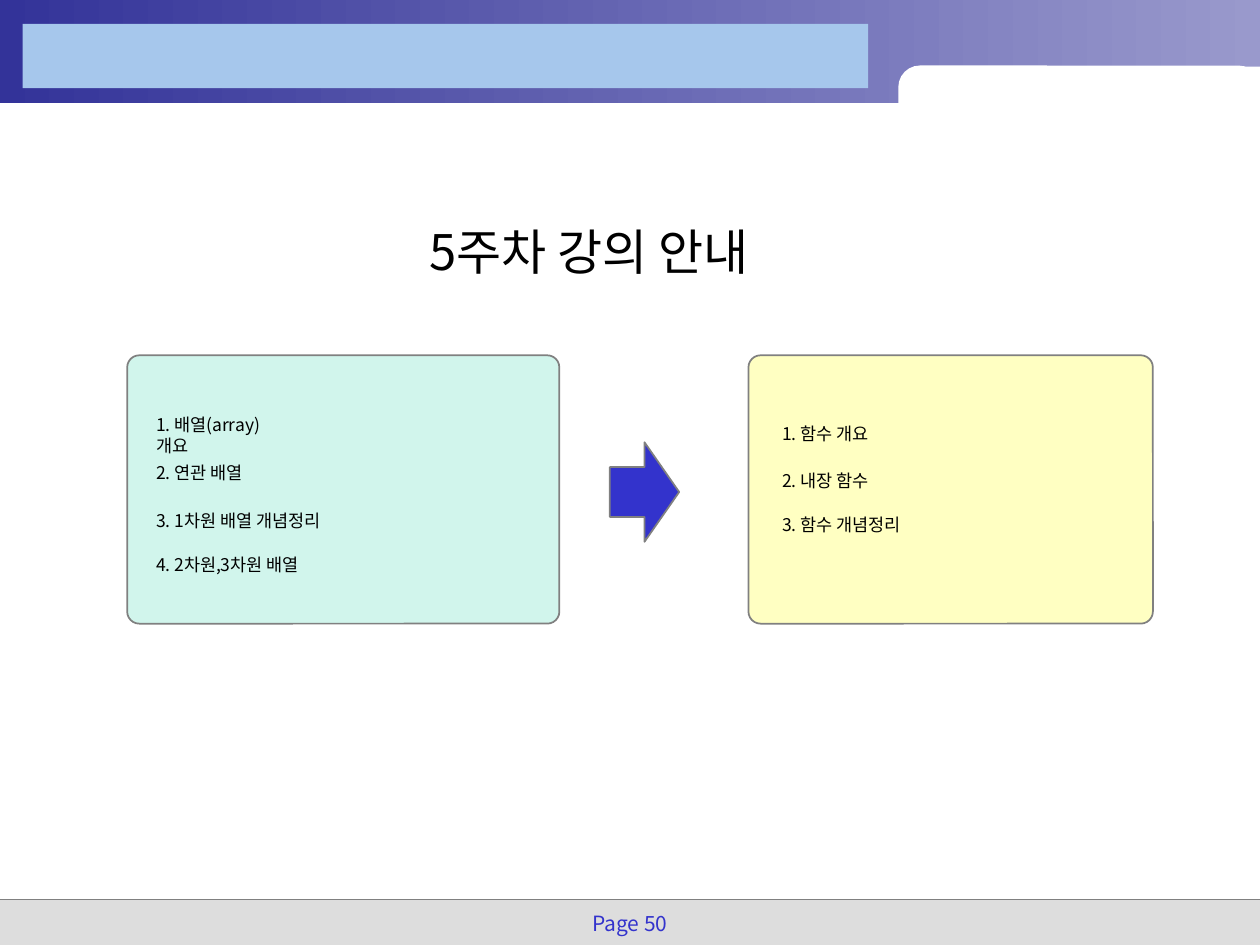
from lxml.etree import SubElement
from pptx import Presentation
from pptx.dml.color import RGBColor
from pptx.enum.shapes import MSO_CONNECTOR, MSO_SHAPE
from pptx.enum.text import MSO_ANCHOR, MSO_AUTO_SIZE, PP_ALIGN
from pptx.oxml.ns import qn
from pptx.util import Inches, Pt

FONT = "Noto Sans CJK KR"
BLACK = RGBColor(0x00, 0x00, 0x00)
WHITE = RGBColor(0xFF, 0xFF, 0xFF)
GRAY = RGBColor(0x80, 0x80, 0x80)
FOOTER_GRAY = RGBColor(0xDD, 0xDD, 0xDD)
NAVY = RGBColor(0x33, 0x33, 0x99)
LAVENDER = RGBColor(0x99, 0x99, 0xCC)
SKY = RGBColor(0xA6, 0xC7, 0xEC)
BLUE = RGBColor(0x33, 0x33, 0xCC)
YELLOW = RGBColor(0xFF, 0xFF, 0x00)
GREEN = RGBColor(0x00, 0xCC, 0x99)

WIDTH, HEIGHT = 10, 7.5
FOOTER_TOP = 7.14
CARD_TOP, CARD_HEIGHT = 2.82, 2.13
TITLE = "5주차 강의 안내"
PAGE = "Page 50"
CARDS = [
    {"left": 5.94, "width": 3.21, "color": YELLOW, "opacity": 24, "text_left": 6.11,
     "items": [("1. 함수 개요", 3.31, 1), ("2. 내장 함수", 3.68, 1),
               ("3. 함수 개념정리", 4.03, 1.25)]},
    {"left": 1.01, "width": 3.43, "color": GREEN, "opacity": 18, "text_left": 1.14,
     "items": [("1. 배열(array) 개요", 3.24, 1.3), ("2. 연관 배열", 3.62, 1),
               ("3. 1차원 배열 개념정리", 4, 1.7), ("4. 2차원,3차원 배열", 4.35, 1.5)]},
]


def add_block(slide, kind, box, color, outlined=False, corner=None, opacity=None):
    """Add a filled preset shape and return it."""
    shape = slide.shapes.add_shape(kind, *map(Inches, box))
    shape.shadow.inherit = False
    shape.fill.solid()
    shape.fill.fore_color.rgb = color
    if corner is not None:
        shape.adjustments[0] = corner
    if opacity is not None:
        fill_color = shape.element.spPr.find(qn("a:solidFill"))[0]
        SubElement(fill_color, qn("a:alpha"), val=str(opacity * 1000))
    if outlined:
        shape.line.color.rgb = GRAY
        shape.line.width = Pt(1)
    else:
        shape.line.fill.background()
    return shape


def write_text(shape, text, size, color=BLACK, alignment=PP_ALIGN.LEFT):
    """Fill a shape with one paragraph of formatted text."""
    frame = shape.text_frame
    frame.text = text
    frame.word_wrap = True
    frame.auto_size = MSO_AUTO_SIZE.NONE
    frame.vertical_anchor = MSO_ANCHOR.TOP
    paragraph = frame.paragraphs[0]
    paragraph.alignment = alignment
    paragraph.font.size = Pt(size)
    paragraph.font.name = FONT
    paragraph.font.color.rgb = color
    for run in paragraph.runs:
        SubElement(run.font._element, qn("a:ea"), typeface=FONT)
    return paragraph


def add_frame(slide):
    """Draw the header band, the footer band and the page number."""
    add_block(slide, MSO_SHAPE.RECTANGLE,
              (0, FOOTER_TOP, WIDTH, HEIGHT - FOOTER_TOP), FOOTER_GRAY)
    header = add_block(slide, MSO_SHAPE.RECTANGLE, (0, 0, WIDTH, 0.82), NAVY)
    header.fill.gradient()
    header.fill.gradient_angle = 0
    for stop, color, position in zip(header.fill.gradient_stops, (NAVY, LAVENDER), (0, 1)):
        stop.color.rgb = color
        stop.position = position
    rule = slide.shapes.add_connector(
        MSO_CONNECTOR.STRAIGHT, 0, Inches(FOOTER_TOP), Inches(WIDTH), Inches(FOOTER_TOP))
    rule.line.color.rgb = GRAY
    rule.line.width = Pt(1)
    SubElement(rule.element.spPr, qn("a:effectLst"))
    add_block(slide, MSO_SHAPE.ROUNDED_RECTANGLE, (7.13, 0.52, 2.87, 0.59), WHITE, corner=0.29)
    add_block(slide, MSO_SHAPE.RECTANGLE, (9.1, 0.53, 0.9, 0.24), WHITE)
    add_block(slide, MSO_SHAPE.RECTANGLE, (0.18, 0.19, 6.71, 0.51), SKY)
    page = slide.shapes.add_textbox(*map(Inches, (4.55, 7.2, 0.9, 0.28)))
    write_text(page, PAGE, 12, BLUE, PP_ALIGN.CENTER).line_spacing = 0.9


def add_card(slide, card):
    """Draw a rounded card and its numbered items."""
    add_block(slide, MSO_SHAPE.ROUNDED_RECTANGLE,
              (card["left"], CARD_TOP, card["width"], CARD_HEIGHT), card["color"],
              outlined=True, corner=0.045, opacity=card["opacity"])
    for text, top, width in card["items"]:
        item = slide.shapes.add_textbox(*map(Inches, (card["text_left"], top, width, 0.27)))
        write_text(item, text, 10)


def main():
    """Build the lecture guide slide."""
    presentation = Presentation()
    presentation.slide_width, presentation.slide_height = Inches(WIDTH), Inches(HEIGHT)
    slide = presentation.slides.add_slide(presentation.slide_layouts[5])
    add_frame(slide)
    title = slide.shapes.title
    title.left, title.top, title.width, title.height = map(Inches, (3.31, 1.71, 3.07, 0.57))
    write_text(title, TITLE, 28)
    for card in CARDS:
        add_card(slide, card)
    add_block(slide, MSO_SHAPE.RIGHT_ARROW, (4.84, 3.51, 0.55, 0.79), BLUE, outlined=True)
    presentation.save("out.pptx")


if __name__ == "__main__":
    main()
